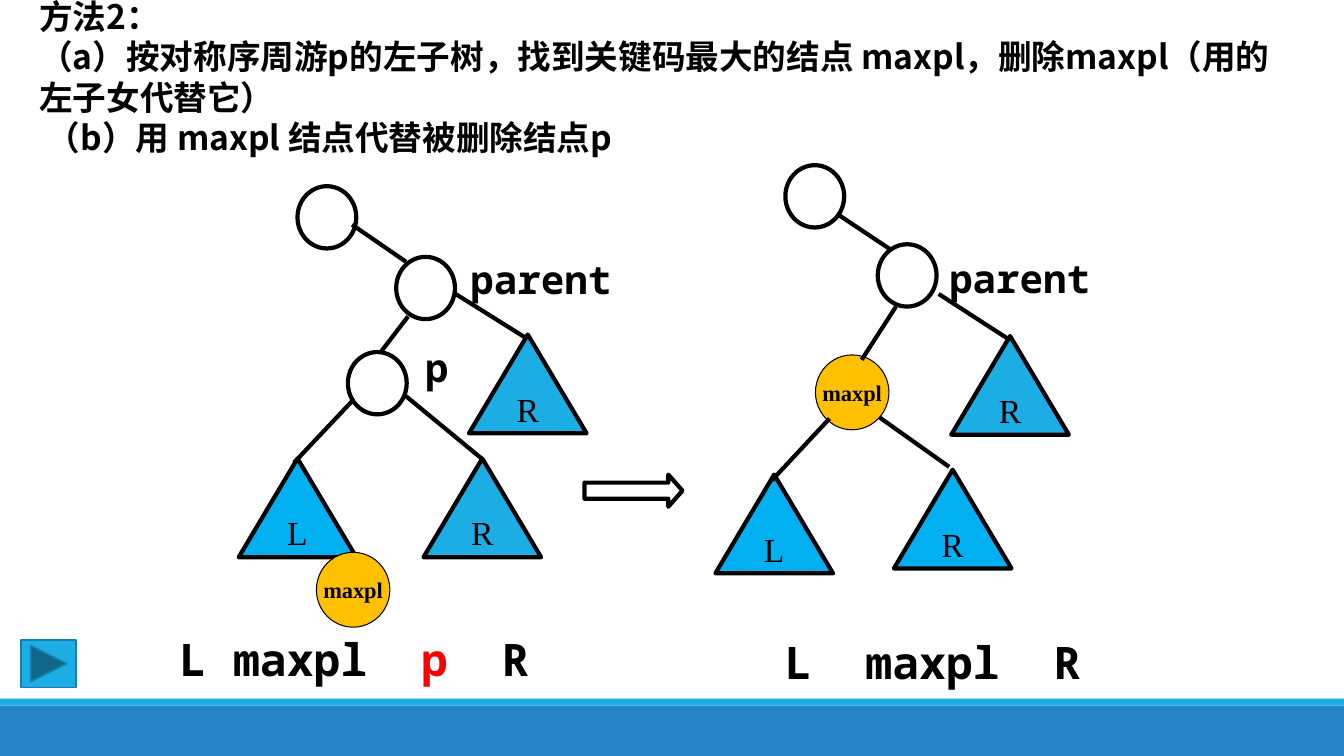
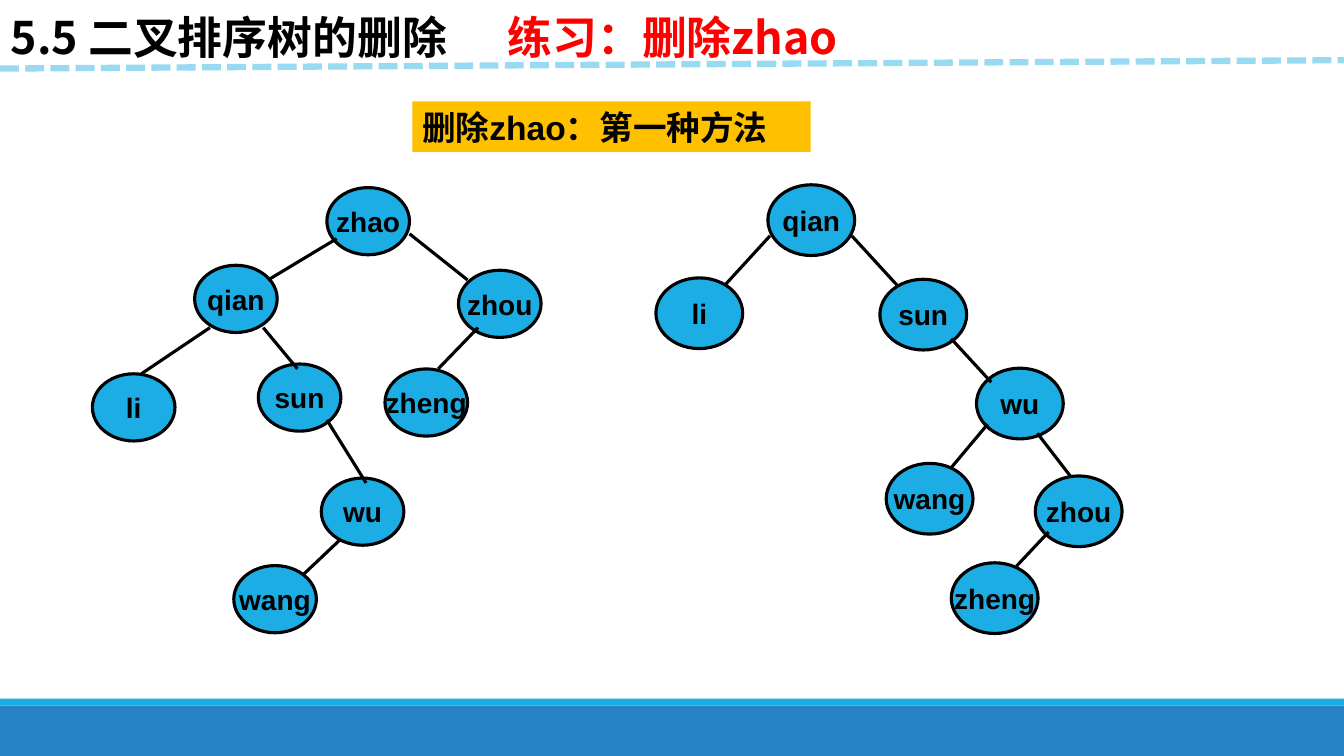
"""Build two slides on deleting a node from a binary search tree."""
from lxml.etree import SubElement
from pptx import Presentation
from pptx.dml.color import RGBColor
from pptx.enum.dml import MSO_LINE
from pptx.enum.shapes import MSO_CONNECTOR, MSO_SHAPE as SH
from pptx.enum.text import MSO_ANCHOR, PP_ALIGN
from pptx.oxml.ns import qn
from pptx.util import Pt

C = {
    "black": "000000", "white": "FFFFFF", "red": "FF0000", "gold": "FFC000",
    "sky": "1CADE4", "azure": "00B0F0", "band": "2683C6",
    "edge": "1580A9", "dash": "99DAF3",
}
CJK, MONO, SERIF, SANS = "Noto Sans CJK SC", "Noto Sans Mono", "Times New Roman", "Arial"


def add(s, kind, box, fill=None, line=None, width=0.75, paras=(), size=24,
        font=CJK, bold=True, node=False, tabs=()):
    sp = s.shapes.add_shape(kind, *map(Pt, box))
    sp.shadow.inherit = False
    if fill:
        sp.fill.solid()
        sp.fill.fore_color.rgb = RGBColor.from_string(C[fill])
    else:
        sp.fill.background()
    if line:
        sp.line.color.rgb = RGBColor.from_string(C[line])
        sp.line.width = Pt(width)
    else:
        sp.line.fill.background()
    tf = sp.text_frame
    tf.word_wrap = not node
    tf.vertical_anchor = MSO_ANCHOR.MIDDLE if node else MSO_ANCHOR.TOP
    for i, runs in enumerate(paras):
        p = tf.add_paragraph() if i else tf.paragraphs[0]
        p.alignment = PP_ALIGN.CENTER if node else PP_ALIGN.LEFT
        if tabs:
            stops = SubElement(p._p.get_or_add_pPr(), qn("a:tabLst"))
            for pos in tabs:
                SubElement(stops, qn("a:tab"), pos=str(Pt(pos)), algn="l")
        for text, color in runs:
            r = p.add_run()
            r.text = text
            r.font.size = Pt(size)
            r.font.bold = bold
            r.font.color.rgb = RGBColor.from_string(C[color])
            r.font.name = font
            SubElement(r._r.get_or_add_rPr(), qn("a:ea"), typeface=CJK)
    return sp


def link(s, ends, width, color="black"):
    cx = s.shapes.add_connector(MSO_CONNECTOR.STRAIGHT, *map(Pt, ends))
    cx.line.color.rgb = RGBColor.from_string(C[color])
    cx.line.width = Pt(width)
    SubElement(cx._element.spPr, qn("a:effectLst"))
    return cx


prs = Presentation()
prs.slide_width, prs.slide_height = Pt(960), Pt(540)
slides = [prs.slides.add_slide(prs.slide_layouts[6]) for _ in range(2)]
for s in slides:
    add(s, SH.RECTANGLE, (0, 504, 960, 36), "band")
    add(s, SH.RECTANGLE, (0, 499, 960, 5), "sky")

s = slides[0]
add(s, SH.RECTANGLE, (21, -6.5, 913, 124), paras=[
    [("方法2：", "black")],
    [("（a）按对称序周游p的左子树，找到关键码最大的结点 maxpl，删除maxpl（用的左子女代替它）", "black")],
    [(" （b）用 maxpl 结点代替被删除结点p", "black")],
])

orders = [
    ((121, 448, 269, 46), (38.4, 172.8, 230.4),
     [("L\tmaxpl\t", "black"), ("p", "red"), ("\tR", "black")]),
    ((553.5, 449.5, 243.5, 46), (57.6, 192), [("L\tmaxpl\tR", "black")]),
]
for box, tabs, runs in orders:
    add(s, SH.RECTANGLE, box, paras=[runs], size=32, font=MONO, tabs=tabs)

rings = [(248.5, 251.5), (283, 183.5), (212.5, 133), (627, 174.5), (561, 118)]
for x, y in rings:
    add(s, SH.OVAL, (x, y, 42, 44.5), "white", "black", 3)

subtrees = [
    ("L", 170.5, 327.5, "azure"), ("R", 302.5, 327.5, "sky"),
    ("R", 335, 239, "sky"), ("L", 511, 339, "azure"),
    ("R", 638.5, 335.5, "azure"), ("R", 679.5, 240, "sky"),
]
for name, x, y, fill in subtrees:
    add(s, SH.ISOSCELES_TRIANGLE, (x, y, 84, 70.5), fill, "black", 3,
        [[(name, "black")]], font=SERIF, bold=False, node=True)

for x, y in [(226, 394.5), (582.5, 253.5)]:
    add(s, SH.OVAL, (x, y, 52.5, 53.5), "gold", "black",
        paras=[[("maxpl", "black")]], size=16, font=SERIF, node=True)

for name, x, y, w in [("p", 296.5, 242, 48), ("parent", 329, 178.5, 116.5),
                      ("parent", 671, 178, 137)]:
    add(s, SH.RECTANGLE, (x, y, w, 41), line="white",
        paras=[[(name, "black")]], size=28, font=MONO)

for ends in [
    (251.5, 160.5, 290, 187), (291.5, 226, 272, 251.5), (325.5, 210, 375, 241),
    (252, 286, 210, 330.5), (290, 283, 344, 327.5),
    (599, 153.5, 636.5, 178.5), (640, 219, 615.5, 257), (670.5, 210, 720, 242),
    (592.5, 299, 551, 343.5), (628, 298, 678, 333.5),
]:
    link(s, ends, 3)

arrow = add(s, SH.RIGHT_ARROW, (417.5, 339, 70, 23), "white", "black", 3)
arrow.adjustments[1] = 0.44
add(s, SH.ACTION_BUTTON_FORWARD_OR_NEXT, (15, 457, 39.5, 34), "sky", "edge", 1.25)

s = slides[1]
trees = [
    (62, 50.5,
     [("qian", 548.5, 132), ("li", 468.5, 198.5), ("sun", 628.5, 199.5),
      ("wu", 697.5, 263), ("zheng", 679.5, 402), ("zhou", 739.5, 340),
      ("wang", 633, 331)],
     [(550, 168.5, 517.5, 204), (608.5, 168.5, 641, 204),
      (679.5, 242, 708, 273), (705.5, 303, 679.5, 334),
      (741, 309.5, 764.5, 340), (749, 380, 726, 404.5)]),
    (59, 48,
     [("zhao", 233.5, 134), ("qian", 139, 189.5), ("zhou", 327.5, 193),
      ("li", 66, 267), ("sun", 184.5, 260), ("zheng", 275, 263.5),
      ("wu", 229.5, 341.5), ("wang", 167, 404)],
     [(240.5, 170.5, 191.5, 200), (292.5, 167, 334, 200),
      (150, 234, 101, 267), (188, 234, 212.5, 263.5),
      (341.5, 234, 313, 263.5), (233.5, 300, 261.5, 345),
      (243.5, 385, 216, 411)]),
]
for w, h, nodes, edges in trees:
    for name, x, y in nodes:
        add(s, SH.OVAL, (x, y, w, h), "sky", "black", 2.25,
            [[(name, "black")]], size=20, font=SANS, node=True)
    for ends in edges:
        link(s, ends, 2.25)

add(s, SH.RECTANGLE, (294.5, 72.5, 284.5, 36), "gold",
    paras=[[("删除zhao：第一种方法", "black")]], font=SANS)
add(s, SH.RECTANGLE, (0.5, 3.5, 669, 46), "white", size=32, tabs=[355],
    paras=[[("5.5 二叉排序树的删除\t", "black"), ("练习：删除zhao", "red")]])
link(s, (0, 49, 960, 43), 4.5, "dash").line.dash_style = MSO_LINE.SQUARE_DOT

prs.save("out.pptx")
